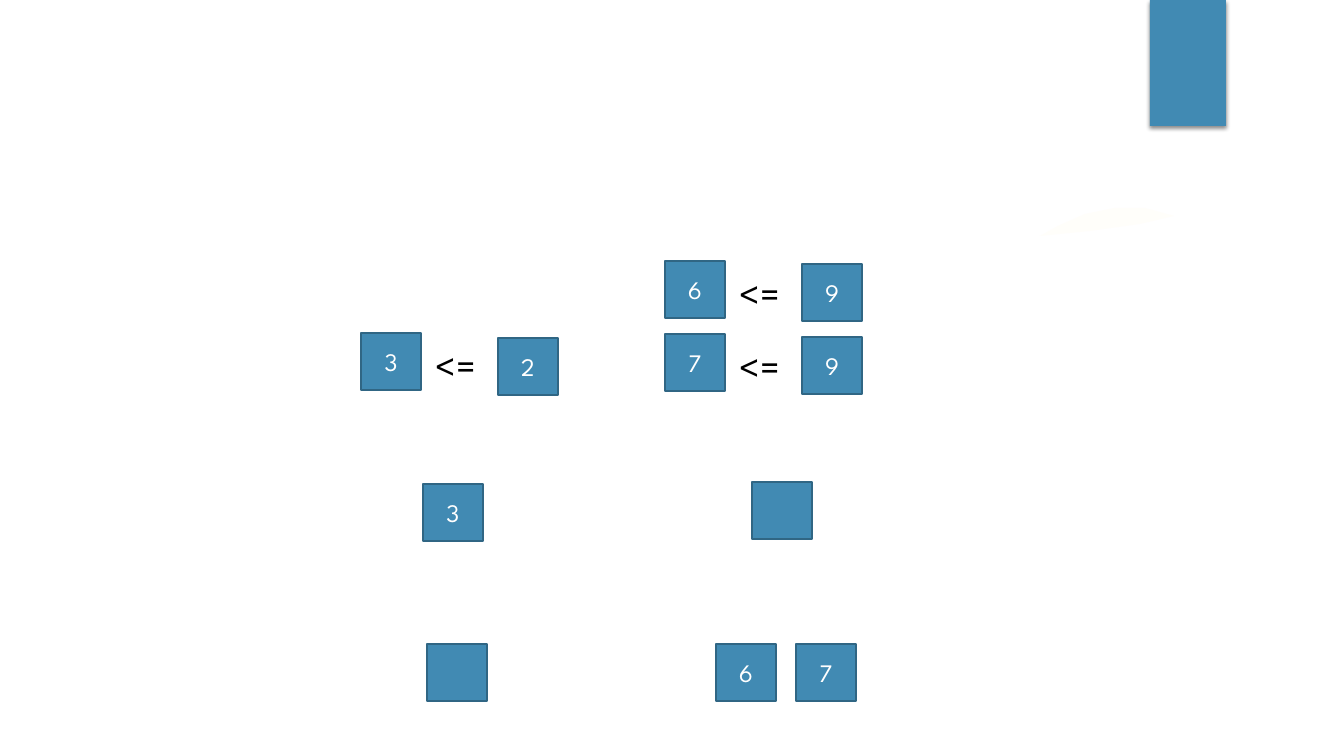
from dataclasses import dataclass

from lxml.etree import SubElement
from pptx import Presentation
from pptx.dml.color import RGBColor
from pptx.enum.shapes import MSO_SHAPE
from pptx.enum.text import MSO_ANCHOR, MSO_AUTO_SIZE, PP_ALIGN
from pptx.oxml.ns import qn
from pptx.shapes.autoshape import Shape
from pptx.slide import Slide
from pptx.util import Emu, Pt

SCALE = 914400 / 100.8
FONT = "League Spartan"
COLORS = {
    "blue": "418AB3",
    "edge": "306684",
    "white": "FFFFFF",
    "black": "000000",
    "glow": "FFFEFA",
}
SIDE, HIGH = 60, 57
SIGN_WIDE = 87
GAP, STEP = 65, 137


@dataclass(frozen=True)
class Box:
    x: int
    y: int
    label: str = ""


@dataclass(frozen=True)
class Test:
    left: Box
    right: str
    drop: int


TESTS = [
    Test(Box(361, 333, "3"), "2", 5),
    Test(Box(665, 261, "6"), "9", 3),
    Test(Box(665, 334, "7"), "9", 3),
]
BOXES = [
    Box(423, 484, "3"),
    Box(752, 482),
    Box(427, 644),
    Box(716, 644, "6"),
    Box(796, 644, "7"),
]
GLOW = [(1040, 236), (1058, 226), (1085, 214), (1115, 208),
        (1145, 208), (1174, 216), (1140, 224), (1090, 231)]


def px(size: int) -> Emu:
    return Emu(round(size * SCALE))


def color(name: str) -> RGBColor:
    return RGBColor.from_string(COLORS[name])


def paint(shape: Shape, fill: str) -> None:
    shape.shadow.inherit = False
    shape.fill.solid()
    shape.fill.fore_color.rgb = color(fill)
    shape.line.fill.background()


def write(shape: Shape, label: str, size: int, ink: str) -> None:
    line = shape.text_frame.paragraphs[0]
    line.text = label
    line.font.name = FONT
    line.font.size = Pt(size)
    line.font.color.rgb = color(ink)


def add_rect(slide: Slide, x: int, y: int, wide: int, high: int) -> Shape:
    rect = slide.shapes.add_shape(
        MSO_SHAPE.RECTANGLE, px(x), px(y), px(wide), px(high))
    paint(rect, "blue")
    return rect


def add_glow(slide: Slide) -> None:
    start, *rest = GLOW
    form = slide.shapes.build_freeform(*start, scale=SCALE)
    form.add_line_segments(rest, close=True)
    paint(form.convert_to_shape(), "glow")


def add_tab(slide: Slide) -> None:
    tab = add_rect(slide, 1150, 0, 76, 126)
    effects = tab._element.spPr.find(qn("a:effectLst"))
    shadow = SubElement(
        effects, qn("a:outerShdw"), blurRad=str(Pt(3)), dist=str(Pt(2)),
        dir="5400000", rotWithShape="0")
    tint = SubElement(shadow, qn("a:srgbClr"), val=COLORS["black"])
    SubElement(tint, qn("a:alpha"), val="45000")


def add_box(slide: Slide, box: Box) -> None:
    rect = add_rect(slide, box.x, box.y, SIDE, HIGH)
    rect.line.color.rgb = color("edge")
    rect.line.width = Pt(1.5)
    if box.label:
        rect.text_frame.vertical_anchor = MSO_ANCHOR.MIDDLE
        write(rect, box.label, 18, "white")
        rect.text_frame.paragraphs[0].alignment = PP_ALIGN.CENTER


def add_sign(slide: Slide, x: int, y: int) -> None:
    sign = slide.shapes.add_textbox(px(x), px(y), px(SIGN_WIDE), px(HIGH))
    sign.text_frame.word_wrap = True
    sign.text_frame.auto_size = MSO_AUTO_SIZE.SHAPE_TO_FIT_TEXT
    write(sign, "<=", 28, "black")


def add_test(slide: Slide, test: Test) -> None:
    left = test.left
    add_box(slide, left)
    add_sign(slide, left.x + GAP, left.y + 3)
    add_box(slide, Box(left.x + STEP, left.y + test.drop, test.right))


def main() -> None:
    deck = Presentation()
    deck.slide_width, deck.slide_height = px(1344), px(756)
    slide = deck.slides.add_slide(deck.slide_layouts[6])
    slide.background.fill.solid()
    slide.background.fill.fore_color.rgb = color("white")
    add_glow(slide)
    add_tab(slide)
    for test in TESTS:
        add_test(slide, test)
    for box in BOXES:
        add_box(slide, box)
    deck.save("out.pptx")


if __name__ == "__main__":
    main()
